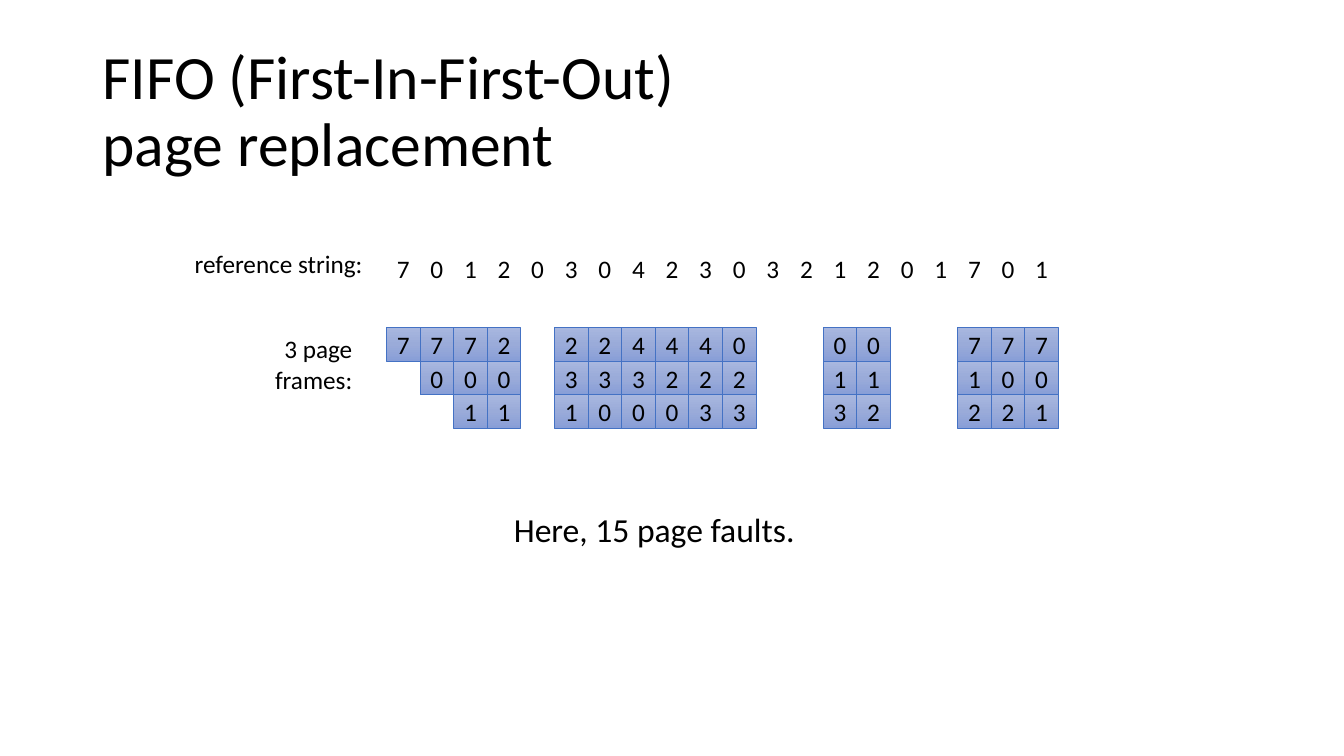
from copy import deepcopy
from dataclasses import dataclass

from pptx import Presentation
from pptx.dml.color import RGBColor
from pptx.enum.dml import MSO_FILL
from pptx.enum.shapes import MSO_SHAPE
from pptx.enum.text import MSO_ANCHOR, MSO_AUTO_SIZE, PP_ALIGN
from pptx.shapes.autoshape import Shape
from pptx.slide import Slide
from pptx.text.text import TextFrame, _Paragraph as Para
from pptx.util import Emu, Pt


@dataclass(frozen=True)
class Theme:
    font: str = "Calibri"
    ink: str = "000000"
    paper: str = "FFFFFF"
    edge: str = "4472C4"
    shades: tuple[str, ...] = ("A8B7DF", "9AABD9", "889ED7")
    title: int = 44
    body: int = 18
    note: int = 24


@dataclass(frozen=True)
class Box:
    left: int
    top: int
    width: int
    height: int


@dataclass(frozen=True)
class Label:
    box: Box
    lines: tuple[str, ...]
    size: int
    align: PP_ALIGN = PP_ALIGN.LEFT


THEME = Theme()
CELL = 32
LEFT = 368
REF_TOP = 240
FRAME_TOP = 312
FRAMES = 3
PAGES = "70120304230321201701"
LABELS = (
    Label(Box(176, 232, 181, 39), ("reference string:",), THEME.body),
    Label(Box(251, 313, 94, 68), ("3 page", "frames:"), THEME.body, PP_ALIGN.RIGHT),
    Label(Box(480, 480, 289, 48), ("Here, 15 page faults.",), THEME.note),
)


def px(count: int) -> Emu:
    return Emu(count * 9525)


def place(box: Box) -> tuple[Emu, Emu, Emu, Emu]:
    return px(box.left), px(box.top), px(box.width), px(box.height)


def add_text(para: Para, text: str, size: int) -> None:
    run = para.add_run()
    run.text = text
    run.font.name = THEME.font
    run.font.size = Pt(size)
    run.font.color.rgb = RGBColor.from_string(THEME.ink)


def add_lines(frame: TextFrame, lines: tuple[str, ...], size: int, align: PP_ALIGN) -> None:
    for row, text in enumerate(lines):
        para = frame.add_paragraph() if row else frame.paragraphs[0]
        para.alignment = align
        add_text(para, text, size)


def set_title(slide: Slide, box: Box, lines: tuple[str, ...]) -> None:
    title = slide.shapes.title
    title.left, title.top, title.width, title.height = place(box)
    frame = title.text_frame
    frame.word_wrap = True
    frame.auto_size = MSO_AUTO_SIZE.NONE
    frame.vertical_anchor = MSO_ANCHOR.MIDDLE
    para = frame.paragraphs[0]
    para.alignment = PP_ALIGN.LEFT
    para.line_spacing = 0.9
    for row, text in enumerate(lines):
        if row:
            para.add_line_break()
        add_text(para, text, THEME.title)


def add_label(slide: Slide, label: Label) -> None:
    frame = slide.shapes.add_textbox(*place(label.box)).text_frame
    frame.word_wrap = False
    frame.auto_size = MSO_AUTO_SIZE.SHAPE_TO_FIT_TEXT
    add_lines(frame, label.lines, label.size, label.align)


def add_cell(slide: Slide, col: int, top: int, page: str) -> Shape:
    box = Box(LEFT + col * CELL, top, CELL, CELL)
    cell = slide.shapes.add_shape(MSO_SHAPE.RECTANGLE, *place(box))
    cell.shadow.inherit = False
    frame = cell.text_frame
    frame.margin_left = frame.margin_right = frame.margin_top = frame.margin_bottom = 0
    frame.vertical_anchor = MSO_ANCHOR.MIDDLE
    add_lines(frame, (page,), THEME.body, PP_ALIGN.CENTER)
    return cell


def paint_plain(cell: Shape) -> None:
    cell.fill.solid()
    cell.fill.fore_color.rgb = RGBColor.from_string(THEME.paper)
    cell.line.fill.background()


def paint_shade(cell: Shape) -> None:
    fill = cell.fill
    fill.gradient()
    fill.gradient_angle = 270
    stops = cell.element.xpath(".//a:gsLst")[0]
    while len(stops) < len(THEME.shades):
        stops.append(deepcopy(stops[0]))
    for step, (stop, shade) in enumerate(zip(fill.gradient_stops, THEME.shades)):
        stop.position = step / (len(THEME.shades) - 1)
        stop.color.rgb = RGBColor.from_string(shade)
    cell.line.color.rgb = RGBColor.from_string(THEME.edge)
    cell.line.width = Pt(0.5)


def run_fifo(pages: str, count: int) -> dict[int, list[str]]:
    held: list[str] = []
    faults: dict[int, list[str]] = {}
    for col, page in enumerate(pages):
        if page in held:
            continue
        slot = len(faults) % count
        held[slot:slot + 1] = [page]
        faults[col] = held.copy()
    return faults


def main() -> None:
    deck = Presentation()
    deck.slide_width, deck.slide_height = px(1280), px(720)
    slide = deck.slides.add_slide(deck.slide_layouts[5])
    set_title(slide, Box(88, 38, 1104, 139), ("FIFO (First-In-First-Out)", "page replacement"))
    for col, page in enumerate(PAGES):
        paint_plain(add_cell(slide, col, REF_TOP, page))
    for col, held in run_fifo(PAGES, FRAMES).items():
        for row, page in enumerate(held):
            paint_shade(add_cell(slide, col, FRAME_TOP + row * CELL, page))
    for label in LABELS:
        add_label(slide, label)
    deck.save("out.pptx")


if __name__ == "__main__":
    main()
